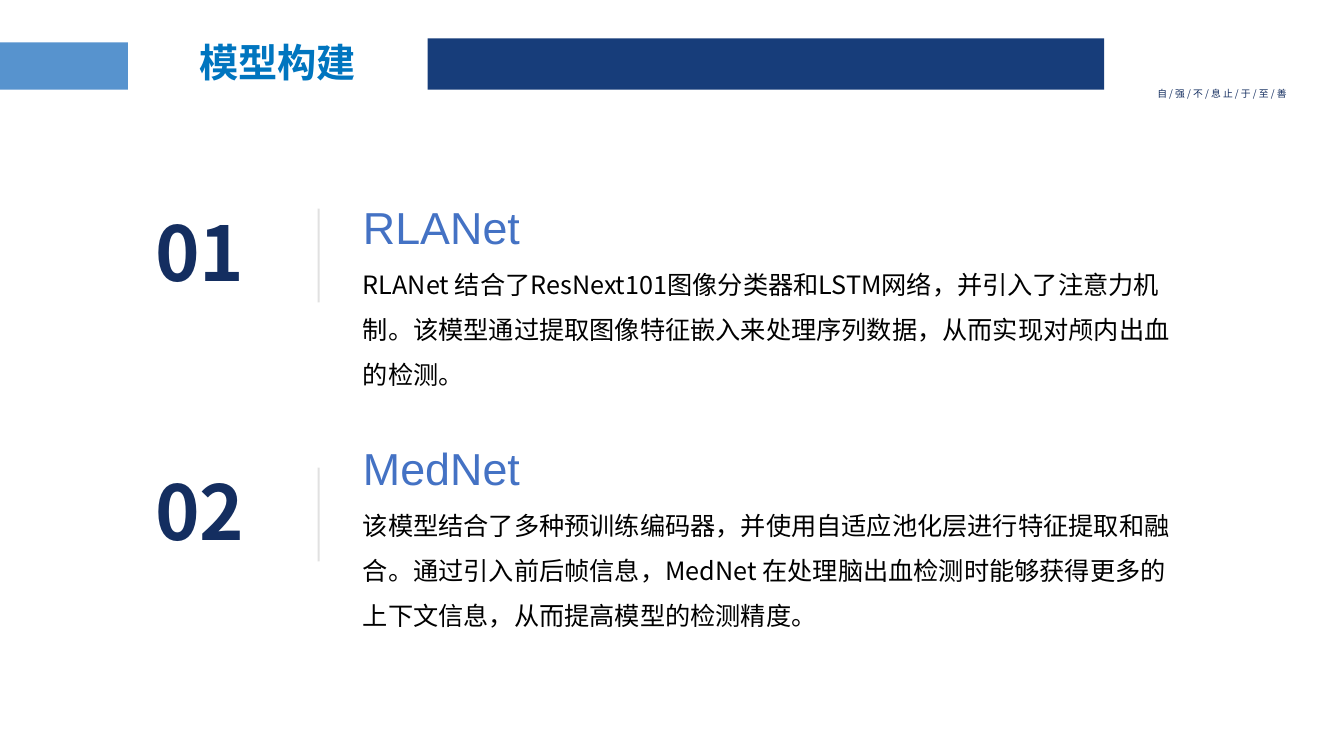
from dataclasses import dataclass

from lxml import etree
from pptx import Presentation, util as u
from pptx.dml.color import RGBColor
from pptx.enum import shapes, text
from pptx.oxml import ns

SCALE = 9144  # EMU in one px, 100 px to the inch


@dataclass(frozen=True)
class Theme:
    navy: str = "173D7A"
    sky: str = "5793CE"
    ink: str = "142E60"
    title: str = "0075BF"
    head: str = "4472C4"
    body: str = "000000"
    rule: str = "A5A5A5"
    sans: str = "Noto Sans CJK SC"
    latin: str = "Arial"
    tiny: int = 7
    text: int = 18
    large: int = 28
    name: int = 32
    huge: int = 54


def px(*vals):
    return [u.Emu(val * SCALE) for val in vals]


class Deck:
    def __init__(self, theme):
        self.theme = theme
        self.prs = Presentation()
        self.prs.slide_width, self.prs.slide_height = px(1333, 750)
        self.slide = self.prs.slides.add_slide(self.prs.slide_layouts[6])

    def bar(self, box, color):
        bar = self.slide.shapes.add_shape(shapes.MSO_SHAPE.RECTANGLE, *px(*box))
        bar.shadow.inherit = False
        bar.fill.solid()
        bar.fill.fore_color.rgb = RGBColor.from_string(color)
        bar.line.fill.background()

    def rule(self, x, top, end):
        """Draw a thin, see-through upright line."""
        rule = self.slide.shapes.add_connector(
            shapes.MSO_CONNECTOR.STRAIGHT, *px(x, top, x, end))
        rule.line.width = u.Pt(1.5)
        rule.line.color.rgb = RGBColor.from_string(self.theme.rule)
        props = rule._element.spPr
        tint = props.find(".//" + ns.qn("a:srgbClr"))
        etree.SubElement(tint, ns.qn("a:alpha"), val="32000")
        etree.SubElement(props, ns.qn("a:effectLst"))

    def label(self, box, words, size, color, face=None, bold=False,
              space=1.0, left=10, center=False):
        frame = self.slide.shapes.add_textbox(*px(*box)).text_frame
        frame.word_wrap = True
        frame.margin_left, = px(left)
        if center:
            frame.vertical_anchor = text.MSO_ANCHOR.MIDDLE
        para = frame.paragraphs[0]
        para.text = words
        para.line_spacing = space
        para.alignment = text.PP_ALIGN.CENTER if center else text.PP_ALIGN.LEFT
        font = para.font
        font.name = face or self.theme.sans
        font.size = u.Pt(size)
        font.bold = bold
        font.color.rgb = RGBColor.from_string(color)
        props = para._p.pPr.find(ns.qn("a:defRPr"))
        etree.SubElement(props, ns.qn("a:ea"), typeface=font.name)

    def model(self, num, top, words, row):
        """Draw one numbered model; row is the top of its number."""
        look = self.theme
        name, about = words
        self.label((144, row, 113, 101), num, look.huge, look.ink, bold=True)
        self.rule(316, row + 8, row + 101)
        self.label((360, top, 829, 73), name, look.name, look.head,
                   face=look.latin, space=1.3, left=0)
        self.label((350, top + 70, 829, 141), about, look.text, look.body,
                   space=1.5)


MODELS = [
    ("01", 177, 199, "RLANet",
     "RLANet 结合了ResNext101图像分类器和LSTM网络，并引入了注意力机制。"
     "该模型通过提取图像特征嵌入来处理序列数据，从而实现对颅内出血的检测。"),
    ("02", 416, 456, "MedNet",
     "该模型结合了多种预训练编码器，并使用自适应池化层进行特征提取和融合。"
     "通过引入前后帧信息，MedNet 在处理脑出血检测时能够获得更多的上下文信息，"
     "从而提高模型的检测精度。"),
]


def main():
    look = Theme()
    deck = Deck(look)
    deck.bar((424, 38, 671, 51), look.navy)
    deck.bar((0, 42, 127, 47), look.sky)
    deck.label((1138, 82, 173, 22), "自 / 强 / 不 / 息 止 / 于 / 至 / 善",
               look.tiny, look.ink)
    deck.label((134, 45, 283, 39), "模型构建", look.large, look.title,
               bold=True, space=0.9, center=True)
    for num, top, row, *words in MODELS:
        deck.model(num, top, words, row)
    deck.prs.save("out.pptx")


if __name__ == "__main__":
    main()
